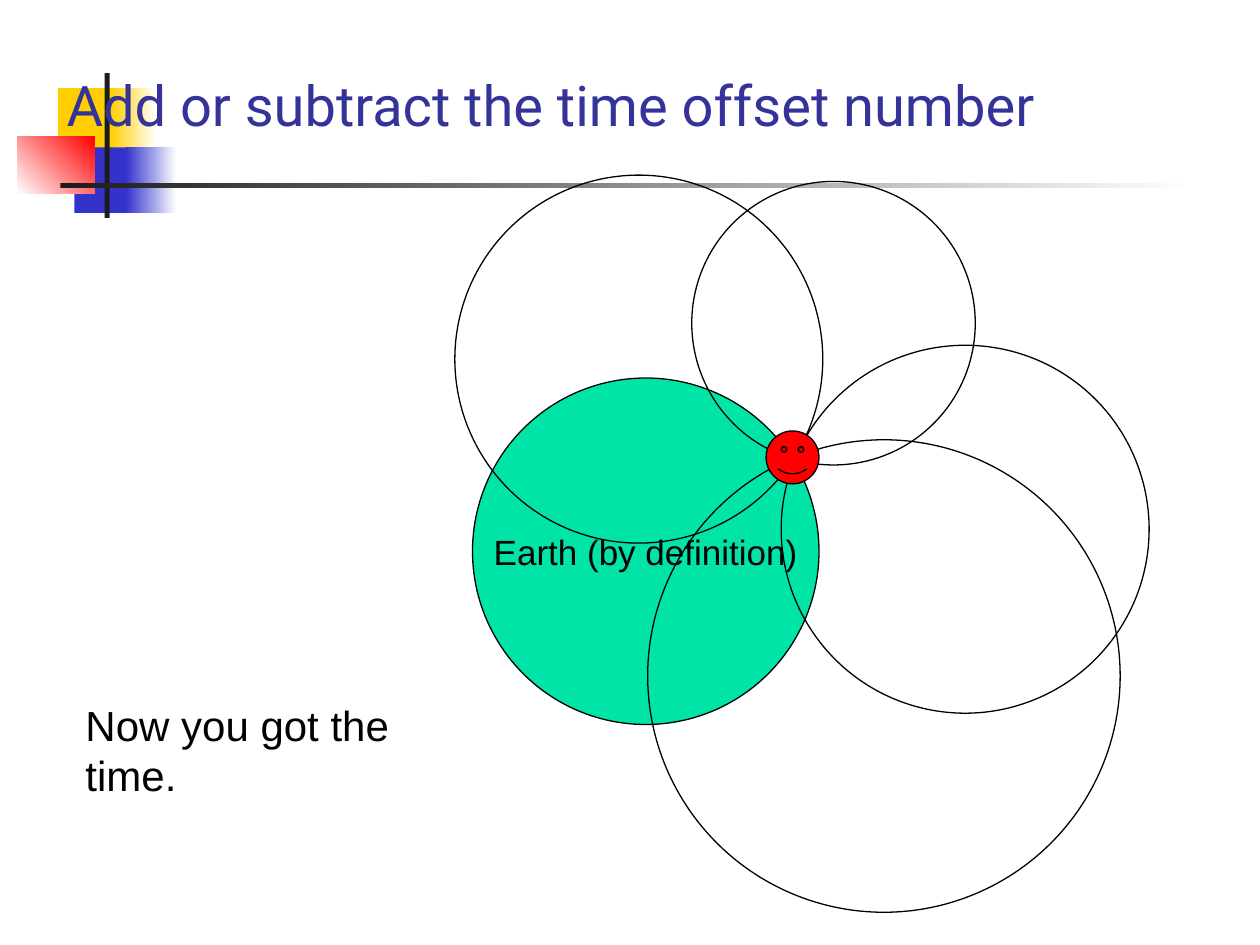
import pptx
import pptx.util
from pptx.dml.color import RGBColor
from pptx.enum.shapes import MSO_SHAPE
from pptx.enum.text import MSO_ANCHOR, PP_ALIGN
from pptx.util import Inches

WHITE = RGBColor(0xFF, 0xFF, 0xFF)
BLACK = RGBColor(0x00, 0x00, 0x00)
YELLOW = RGBColor(0xFF, 0xCF, 0x01)
BLUE = RGBColor(0x33, 0x33, 0xCC)
RED = RGBColor(0xFF, 0x00, 0x00)
CHARCOAL = RGBColor(0x1C, 0x1C, 0x1C)
GREEN = RGBColor(0x00, 0xE4, 0xA8)
TITLE_BLUE = RGBColor(0x33, 0x33, 0x99)

presentation = pptx.Presentation()
presentation.slide_width = Inches(10)
presentation.slide_height = Inches(7.5)
slide = presentation.slides.add_slide(presentation.slide_layouts[6])


def add_figure(preset, box, fill=None, outlined=True):
    """Add a preset shape; fill is None, one colour, or (start, end, angle)."""
    figure = slide.shapes.add_shape(preset, *map(Inches, box))
    figure.shadow.inherit = False
    if fill is None:
        figure.fill.background()
    elif isinstance(fill, RGBColor):
        figure.fill.solid()
        figure.fill.fore_color.rgb = fill
    else:
        start, end, angle = fill
        figure.fill.gradient()
        figure.fill.gradient_angle = angle
        for stop, color in zip(figure.fill.gradient_stops, (start, end)):
            stop.color.rgb = color
    if outlined:
        figure.line.color.rgb = BLACK
        figure.line.width = pptx.util.Pt(0.75)
    else:
        figure.line.fill.background()
    return figure


def write_text(holder, text, size, font_name, color, wrap):
    holder.text_frame.text = text
    holder.text_frame.word_wrap = wrap
    font = holder.text_frame.paragraphs[0].runs[0].font
    font.size = pptx.util.Pt(size)
    font.name = font_name
    font.color.rgb = color


# Corner ornament and the rule under the title
ornament = [
    ((0.46, 0.7, 0.48, 0.52), YELLOW),
    ((0.88, 0.7, 0.36, 0.52), (YELLOW, WHITE, 0)),
    ((0.59, 1.17, 0.46, 0.52), BLUE),
    ((1, 1.17, 0.4, 0.52), (BLUE, WHITE, 0)),
    ((0.14, 1.08, 0.61, 0.46), (WHITE, RED, 45)),
    ((0.83, 0.58, 0.04, 1.15), CHARCOAL),
    ((0.48, 1.45, 9, 0.04), (CHARCOAL, WHITE, 0)),
]
for box, fill in ornament:
    add_figure(MSO_SHAPE.RECTANGLE, box, fill, outlined=False)

# The label is sized to stay inside the Earth's diameter
earth = add_figure(MSO_SHAPE.OVAL, (3.75, 3, 2.75, 2.75), GREEN)
write_text(earth, "Earth (by definition)", 20, "Arial", BLACK, wrap=False)
earth.text_frame.vertical_anchor = MSO_ANCHOR.MIDDLE
earth.text_frame.paragraphs[0].alignment = PP_ALIGN.CENTER

conclusion = slide.shapes.add_textbox(Inches(0.58), Inches(5.5), Inches(2.75), Inches(0.9))
write_text(conclusion, "Now you got the time.", 24, "Arial", BLACK, wrap=True)

# Satellite ranges that meet at the receiver: left, top, diameter
for left, top, diameter in [
    (3.61, 1.39, 2.92),
    (5.49, 1.44, 2.25),
    (6.2, 2.74, 2.92),
    (5.14, 3.49, 3.75),
]:
    add_figure(MSO_SHAPE.OVAL, (left, top, diameter, diameter))

add_figure(MSO_SHAPE.SMILEY_FACE, (6.08, 3.42, 0.42, 0.42), RED)

title = slide.shapes.add_textbox(Inches(0.43), Inches(0.58), Inches(9), Inches(0.56))
write_text(title, "Add or subtract the time offset number", 32, "Roboto", TITLE_BLUE, wrap=True)
title.text_frame.vertical_anchor = MSO_ANCHOR.BOTTOM

presentation.save("out.pptx")
